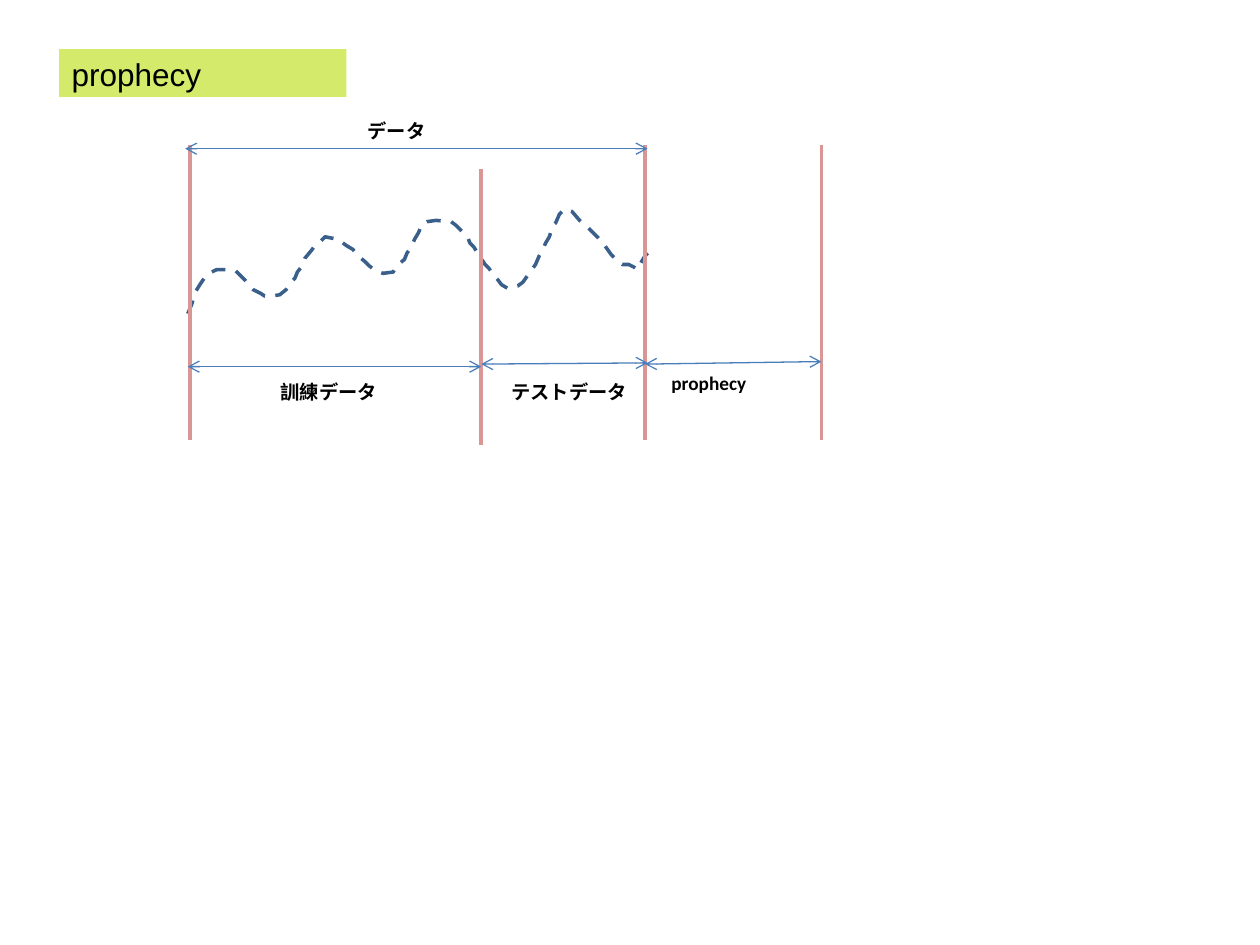
from pptx import Presentation
from pptx.dml.color import RGBColor
from pptx.enum.dml import MSO_LINE
from pptx.enum.shapes import MSO_CONNECTOR, MSO_SHAPE
from pptx.enum.text import MSO_ANCHOR, MSO_AUTO_SIZE, PP_ALIGN
from pptx.oxml.ns import qn
from pptx.util import Inches, Pt
from lxml.etree import SubElement

BLACK = RGBColor(0x00, 0x00, 0x00)
LIME = RGBColor(0xD4, 0xEA, 0x6B)
NAVY = RGBColor(0x3A, 0x5F, 0x8B)
BLUE = RGBColor(0x4A, 0x7E, 0xBB)
ROSE = RGBColor(0xD9, 0x96, 0x94)

SERIES = [
    (1.49, 2.49), (1.52, 2.42), (1.55, 2.32), (1.58, 2.27), (1.62, 2.21),
    (1.68, 2.16), (1.72, 2.14), (1.80, 2.14), (1.87, 2.15), (1.91, 2.19),
    (1.95, 2.23), (2.01, 2.30), (2.07, 2.33), (2.10, 2.35), (2.16, 2.35),
    (2.22, 2.34), (2.27, 2.30), (2.30, 2.25), (2.34, 2.21), (2.36, 2.16),
    (2.40, 2.11), (2.42, 2.05), (2.47, 1.99), (2.50, 1.95), (2.53, 1.93),
    (2.58, 1.88), (2.68, 1.90), (2.75, 1.95), (2.80, 1.98), (2.84, 2.03),
    (2.90, 2.08), (2.93, 2.11), (2.98, 2.15), (3.04, 2.17), (3.12, 2.16),
    (3.16, 2.10), (3.21, 2.06), (3.23, 2.01), (3.27, 1.95), (3.29, 1.90),
    (3.32, 1.85), (3.35, 1.78), (3.39, 1.76), (3.46, 1.75), (3.58, 1.76),
    (3.62, 1.79), (3.66, 1.83), (3.71, 1.88), (3.73, 1.93), (3.76, 1.96),
    (3.79, 2.01), (3.85, 2.10), (3.88, 2.13), (3.91, 2.17), (3.95, 2.22),
    (3.98, 2.26), (4.03, 2.29), (4.11, 2.27), (4.15, 2.24), (4.20, 2.17),
    (4.25, 2.10), (4.28, 2.03), (4.31, 1.98), (4.33, 1.93), (4.36, 1.88),
    (4.39, 1.79), (4.41, 1.77), (4.44, 1.70), (4.48, 1.66), (4.54, 1.68),
    (4.60, 1.75), (4.66, 1.80), (4.70, 1.84), (4.75, 1.89), (4.80, 1.95),
    (4.85, 2.02), (4.90, 2.07), (4.94, 2.10), (4.99, 2.10), (5.03, 2.12),
    (5.06, 2.14), (5.09, 2.08), (5.12, 2.03), (5.14, 2.01),
]
DIVIDERS = [(1.51, 1.15, 3.49), (3.82, 1.34, 3.53), (5.12, 1.15, 3.49), (6.52, 1.15, 3.49)]
SPANS = [
    (1.47, 1.18, 5.14, 1.18),
    (1.49, 2.91, 3.82, 2.91),
    (3.82, 2.89, 5.14, 2.88),
    (5.12, 2.89, 6.52, 2.87),
]
LABELS = [
    ("データ", 2.82, 0.9, 1),
    ("訓練データ", 2.13, 2.97, 1),
    ("テストデータ", 3.96, 2.97, 1.18),
    ("prophecy", 5.23, 2.9, 1.18),
]


class Painter:
    def __init__(self, page):
        self.shapes = page.shapes

    def add_text(self, box, text, font, size, bold):
        frame = box.text_frame
        frame.word_wrap = True
        frame.auto_size = MSO_AUTO_SIZE.SHAPE_TO_FIT_TEXT
        frame.vertical_anchor = MSO_ANCHOR.TOP
        para = frame.paragraphs[0]
        para.alignment = PP_ALIGN.LEFT
        span = para.add_run()
        span.text = text
        span.font.name = font
        span.font.size = Pt(size)
        span.font.bold = bold
        span.font.color.rgb = BLACK

    def title(self, text, left, top, width, height):
        box = self.shapes.add_shape(
            MSO_SHAPE.RECTANGLE, Inches(left), Inches(top), Inches(width), Inches(height))
        box.shadow.inherit = False
        box.fill.solid()
        box.fill.fore_color.rgb = LIME
        box.line.fill.background()
        self.add_text(box, text, "Arial", 18, False)

    def label(self, text, left, top, width):
        box = self.shapes.add_textbox(Inches(left), Inches(top), Inches(width), Inches(0.28))
        self.add_text(box, text, "Calibri", 11, True)

    def line(self, start_x, start_y, end_x, end_y, color, weight):
        line = self.shapes.add_connector(
            MSO_CONNECTOR.STRAIGHT,
            Inches(start_x), Inches(start_y), Inches(end_x), Inches(end_y))
        line.line.color.rgb = color
        line.line.width = Pt(weight)
        SubElement(line._element.spPr, qn("a:effectLst"))
        return line

    def double_arrow(self, *ends):
        stroke = self.line(*ends, BLUE, 0.75)._element.spPr.find(qn("a:ln"))
        for end in ("a:headEnd", "a:tailEnd"):
            SubElement(stroke, qn(end), type="arrow")

    def dashed_curve(self, points):
        points = [(Inches(x), Inches(y)) for x, y in points]
        builder = self.shapes.build_freeform(*points[0])
        builder.add_line_segments(points[1:], close=False)
        curve = builder.convert_to_shape()
        curve.shadow.inherit = False
        curve.fill.background()
        curve.line.color.rgb = NAVY
        curve.line.width = Pt(2)
        curve.line.dash_style = MSO_LINE.DASH


def main():
    deck = Presentation()
    deck.slide_width = Inches(10)
    deck.slide_height = Inches(7.5)
    painter = Painter(deck.slides.add_slide(deck.slide_layouts[6]))
    painter.dashed_curve(SERIES)
    for x, top, bottom in DIVIDERS:
        painter.line(x, top, x, bottom, ROSE, 2.25)
    for ends in SPANS:
        painter.double_arrow(*ends)
    for label in LABELS:
        painter.label(*label)
    painter.title("prophecy", 0.47, 0.39, 2.28, 0.38)
    deck.save("out.pptx")


if __name__ == "__main__":
    main()
